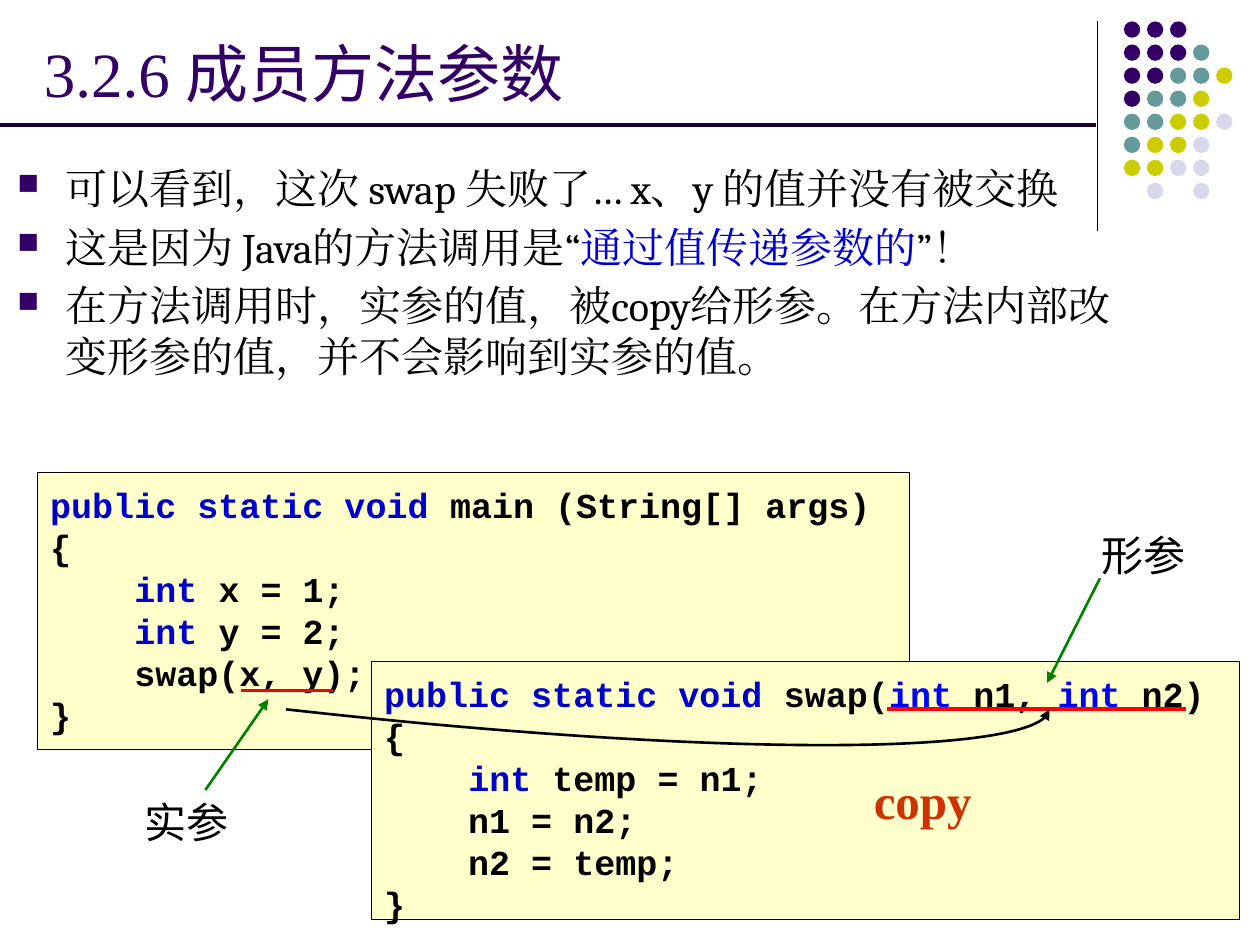
from lxml import etree
from pptx import Presentation
from pptx.dml.color import RGBColor
from pptx.enum import shapes, text
from pptx.oxml.ns import qn
from pptx.util import Inches, Pt

# Content: a paragraph is a list of (words, colour) spans
BLACK, BLUE, BRIGHT, PURPLE = "000000", "0000CC", "0000FF", "330066"
CJK, CODE = "Noto Sans CJK SC", "Courier New"
TITLE = [("3.2.6 ", "Times New Roman"), ("成员方法参数", CJK)]
BULLETS = [
    [("可以看到，这次 swap 失败了… x、y 的值并没有被交换", BLACK)],
    [("这是因为 Java的方法调用是“", BLACK), ("通过值传递参数的", BLUE), ("”！", BLACK)],
    [("在方法调用时，实参的值，被copy给形参。在方法内部改变形参的值，并不会影响到实参的值。", BLACK)],
]
MAIN_CODE = [
    [("public static void", BLUE), (" main (String[] args)", BLACK)],
    [("{", BLACK)],
    [("    ", BLACK), ("int", BLUE), (" x = 1;", BLACK)],
    [("    ", BLACK), ("int ", BLUE), ("y = 2;", BLACK)],
    [("    swap(x, y);", BLACK)],
    [("}", BLACK)],
]
SWAP_CODE = [
    [("public static void", BLUE), (" swap(", BLACK), ("int", BRIGHT),
     (" n1, ", BLACK), ("int", BRIGHT), (" n2)", BLACK)],
    [("{", BLACK)],
    [("    ", BLACK), ("int", BLUE), (" temp = n1;", BLACK)],
    [("    n1 = n2;", BLACK)],
    [("    n2 = temp;", BLACK)],
    [("}", BLACK)],
]
CODE_BOXES = [(0.3, 3.75, 6.92, 2.2, MAIN_CODE), (2.95, 5.25, 6.89, 2.05, SWAP_CODE)]
# left, top, width, height, words, font, size, colour, bold
LABELS = [
    (1.03, 6.27, 0.88, 0.5, "实参", CJK, 24, BLACK, False),
    (8.63, 4.15, 0.88, 0.5, "形参", CJK, 24, BLACK, False),
    (6.82, 6.07, 0.99, 0.57, "copy", "Times New Roman", 28, "CC3300", True),
]
# start, end, colour, width, arrowhead
RULES = [((8.71, 0.17), (8.71, 1.83), BLACK, 0.75, False),
         ((0, 0.99), (8.7, 0.99), "190033", 2.25, False)]
MARKS = [((1.91, 5.48), (2.64, 5.48), "FF0000", 2.25, False),
         ((7.04, 5.63), (9.41, 5.63), "FF0000", 2.25, False),
         ((1.63, 6.27), (2.13, 5.55), "008000", 1.5, True),
         ((8.73, 4.59), (8.31, 5.42), "008000", 1.5, True)]
COPY_CURVE = [(2.27, 5.63), (5.58, 6), (8.29, 6), (8.33, 5.63)]
DOT_COLORS = {"P": PURPLE, "T": "669999", "Y": "CCCC00", "L": "D8D8EC"}
DOT_ROWS = ["PPP", "PPPT", "PPTTY", "PTTY", "TTYYL", "TYYL", "YYLL", " L L"]


def rgb(value):
    return RGBColor.from_string(value)


def inches(*values):
    return [Inches(value) for value in values]


def style(font, name, size, color=None, bold=False):
    font.name, font.size, font.bold = name, Pt(size), bold
    if color:
        font.color.rgb = rgb(color)


def add_span(para, words, color, face):
    span = para.add_run()
    span.text = words
    span.font.color.rgb = rgb(color)
    span.font.name = face
    etree.SubElement(span.font._element, qn("a:ea")).set("typeface", face)


def add_paragraphs(frame, paragraphs, face, size, bold=False):
    for index, spans in enumerate(paragraphs):
        para = frame.add_paragraph() if index else frame.paragraphs[0]
        for words, color in spans:
            add_span(para, words, color, face)
        yield index, para
        style(para.font, face, size, bold=bold)


def add_box(left, top, width, height, wrap=True):
    box = page.shapes.add_textbox(*inches(left, top, width, height))
    box.text_frame.word_wrap = wrap
    return box.text_frame


def set_line(shape, color, width, arrow):
    shape.line.color.rgb = rgb(color)
    shape.line.width = Pt(width)
    if arrow:
        etree.SubElement(shape.line._get_or_add_ln(), qn("a:tailEnd")).set("type", "triangle")


def add_line(start, end, color, width, arrow):
    line = page.shapes.add_connector(shapes.MSO_CONNECTOR.STRAIGHT, *inches(*start, *end))
    set_line(line, color, width, arrow)
    etree.SubElement(line._element.spPr, qn("a:effectLst"))


def add_shape(kind, left, top, width, height, fill):
    shape = page.shapes.add_shape(kind, *inches(left, top, width, height))
    shape.shadow.inherit = False
    shape.fill.solid()
    shape.fill.fore_color.rgb = rgb(fill)
    shape.line.fill.background()
    return shape


deck = Presentation()
deck.slide_width, deck.slide_height = inches(10, 7.5)
page = deck.slides.add_slide(deck.slide_layouts[6])

# Corner dots and the two rules
for row, letters in enumerate(DOT_ROWS):
    for column, letter in enumerate(letters):
        if letter in DOT_COLORS:
            add_shape(shapes.MSO_SHAPE.OVAL, 8.92 + column * 0.183, 0.17 + row * 0.183,
                      0.13, 0.13, DOT_COLORS[letter])
for rule in RULES:
    add_line(*rule)

# Title
frame = add_box(0.25, 0.21, 9, 0.71)
frame.vertical_anchor = text.MSO_ANCHOR.BOTTOM
for words, face in TITLE:
    add_span(frame.paragraphs[0], words, PURPLE, face)
frame.paragraphs[0].font.size = Pt(36)

# Bullets
frame = add_box(0.04, 1.24, 8.92, 1.97)
for index, para in add_paragraphs(frame, BULLETS, "Cambria", 24):
    props = para._p.get_or_add_pPr()
    props.set("marL", str(Inches(0.38)))
    props.set("indent", str(-Inches(0.38)))
    if index:
        para.space_before = Pt(4.8)
    color = etree.SubElement(props, qn("a:buClr"))
    etree.SubElement(color, qn("a:srgbClr")).set("val", PURPLE)
    etree.SubElement(props, qn("a:buSzPct")).set("val", "70000")
    etree.SubElement(props, qn("a:buChar")).set("char", "■")

# Code boxes
for left, top, width, height, code in CODE_BOXES:
    box = add_shape(shapes.MSO_SHAPE.RECTANGLE, left, top, width, height, "FFFFCC")
    set_line(box, BLACK, 0.75, False)
    frame = box.text_frame
    frame.word_wrap = False
    frame.vertical_anchor = text.MSO_ANCHOR.TOP
    frame.margin_top = Inches(0.09)
    for _, para in add_paragraphs(frame, code, CODE, 20, True):
        para.alignment = text.PP_ALIGN.LEFT
        para.line_spacing = Pt(24)

# Underlines, arrows and labels
for mark in MARKS:
    add_line(*mark)
for left, top, width, height, words, face, size, color, bold in LABELS:
    frame = add_box(left, top, width, height, wrap=False)
    for _, para in add_paragraphs(frame, [[(words, color)]], face, size, bold):
        para.alignment = text.PP_ALIGN.RIGHT

# Curved arrow: the straight segments become one Bezier segment
start, *controls = [inches(*point) for point in COPY_CURVE]
builder = page.shapes.build_freeform(*start)
builder.add_line_segments(controls, close=False)
curve = builder.convert_to_shape()
curve.shadow.inherit = False
curve.fill.background()
set_line(curve, BLACK, 1.5, True)
segments = list(curve._element.iter(qn("a:lnTo")))
bezier = etree.SubElement(segments[0].getparent(), qn("a:cubicBezTo"))
for segment in segments:
    bezier.append(segment[0])
    segment.getparent().remove(segment)

deck.save("out.pptx")
